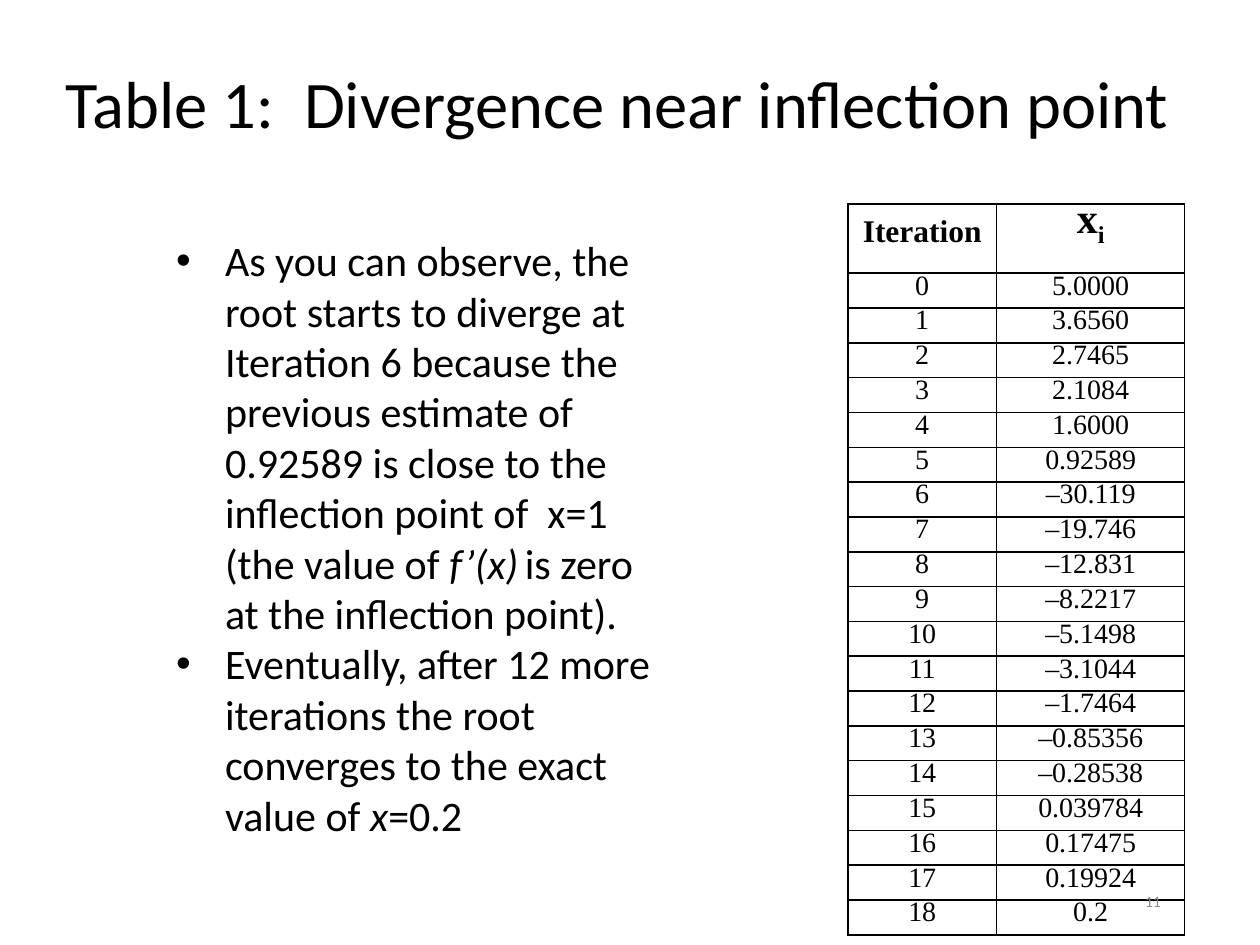
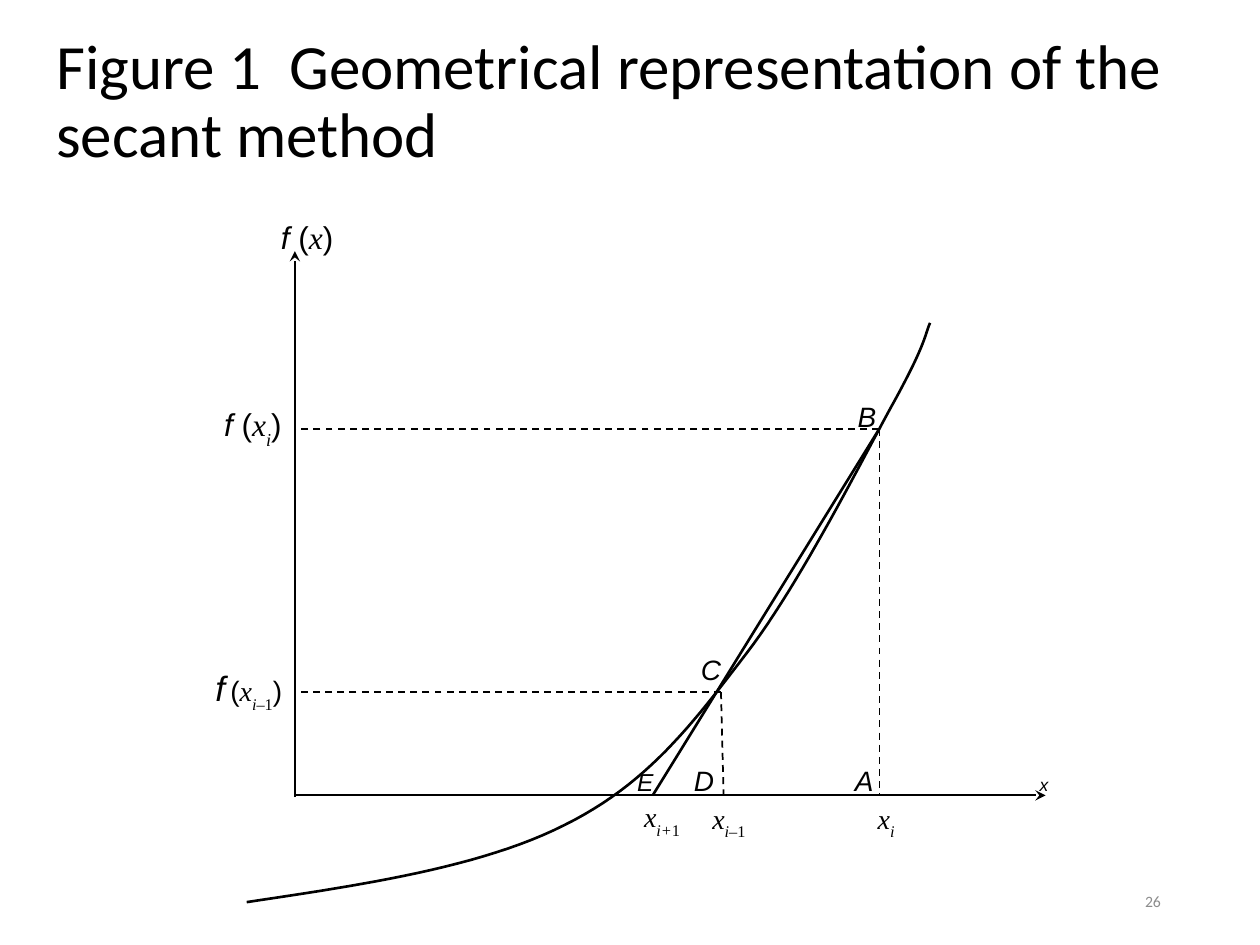
from lxml import etree
from pptx import Presentation
from pptx.dml.color import RGBColor
from pptx.enum.dml import MSO_LINE
from pptx.enum.text import MSO_ANCHOR, MSO_AUTO_SIZE, PP_ALIGN
from pptx.oxml.ns import qn
from pptx.util import Pt

LEFT, CENTER, RIGHT = PP_ALIGN.LEFT, PP_ALIGN.CENTER, PP_ALIGN.RIGHT
TOP, MIDDLE = MSO_ANCHOR.TOP, MSO_ANCHOR.MIDDLE
FIXED, GROW = MSO_AUTO_SIZE.NONE, MSO_AUTO_SIZE.SHAPE_TO_FIT_TEXT
DASH = MSO_LINE.DASH

COLORS = {"ink": "000000", "number": "8C8C8C"}
BODY, SERIF, SANS = "Calibri", "Times New Roman", "Arial"
TITLE_ONLY = 5

ITALIC = {"italic": True}
UPRIGHT = {"italic": False}
VARIABLE = {"name": SERIF}
INDEX = {"name": SERIF, "baseline": -30}
INDEX_DIGIT = {**INDEX, **UPRIGHT}

ESTIMATES = [
    "5.0000", "3.6560", "2.7465", "2.1084", "1.6000", "0.92589", "–30.119",
    "–19.746", "–12.831", "–8.2217", "–5.1498", "–3.1044", "–1.7464",
    "–0.85356", "–0.28538", "0.039784", "0.17475", "0.19924", "0.2",
]

OBSERVATIONS = [
    [("As you can observe, the root starts to diverge at Iteration 6 because the "
      "previous estimate of 0.92589 is close to the inflection point of  x=1 "
      "(the value of ", {}), ("f’(x)", ITALIC), (" ", {"size": 16}),
     ("is zero at the inflection point).", {})],
    [("Eventually, after 12 more iterations the root converges to the exact value of ", {}),
     ("x", ITALIC), ("=0.2", {})],
]

CURVE_START = (141, 515.5)
CURVE_ARCS = [
    [(208, 505.5), (275, 495.5), (322.5, 471.5)],
    [(370, 448), (395.5, 414), (426.5, 373.5)],
    [(458, 332.5), (494, 260), (511.5, 228.5)],
    [(529, 196.5), (528.5, 191.5), (531.5, 184.5)],
]

AXIS_X, AXIS_Y = 168.5, 454.5
POINT_B, POINT_C = (502.5, 245), (412, 395.5)
FOOT_A, FOOT_D, FOOT_E = (502.5, AXIS_Y), (413.5, AXIS_Y), (373, AXIS_Y)

LABELS = [
    (153.5, 121, 18, [("f ", {}), ("(", UPRIGHT), ("x", VARIABLE), (")", UPRIGHT)]),
    (121, 228, 18, [("f ", {}), ("(", UPRIGHT), ("x", VARIABLE), ("i", INDEX),
                    (")", UPRIGHT)]),
    (116, 377.5, 16, [("f", {"size": 20}), (" ", {"size": 11}), ("(", UPRIGHT),
                      ("x", VARIABLE), ("i–", INDEX), ("1", INDEX_DIGIT),
                      (")", UPRIGHT)]),
    (361, 453.5, 16, [("x", VARIABLE), ("i+", INDEX), ("1", INDEX_DIGIT)]),
    (400, 454.5, 16, [("x", VARIABLE), ("i–", INDEX), ("1", INDEX_DIGIT)]),
    (494.5, 454.5, 16, [("x", VARIABLE), ("i", INDEX)]),
    (587, 439, 10, [("x", {})]),
    (483, 224.5, 16, [("B", {})]),
    (393.5, 369.5, 16, [("C", {})]),
    (481.5, 432.5, 16, [("A", {})]),
    (389.5, 432.5, 16, [("D", {})]),
    (357, 435, 14, [("E", {})]),
]


def bezier_points(start, arcs, steps=24):
    points = [start]
    for first, second, end in arcs:
        origin = points[-1]
        for step in range(1, steps + 1):
            t = step / steps
            points.append(tuple(
                (1 - t) ** 3 * a + 3 * (1 - t) ** 2 * t * b
                + 3 * (1 - t) * t ** 2 * c + t ** 3 * d
                for a, b, c, d in zip(origin, first, second, end)))
    return points


class SlideWriter:
    def __init__(self, deck):
        self.deck = deck
        self.page = None

    def color(self, name):
        return RGBColor.from_string(COLORS[name])

    def style(self, font, name=BODY, size=24, color="ink", bold=False, italic=False):
        font.name, font.size = name, Pt(size)
        font.bold, font.italic = bold, italic
        font.color.rgb = self.color(color)

    def spans(self, paragraph, parts):
        for text, changes in parts:
            span = paragraph.add_run()
            span.text = text
            for key, value in changes.items():
                if key == "baseline":
                    span.font._element.set("baseline", str(value * 1000))
                else:
                    setattr(span.font, key, Pt(value) if key == "size" else value)

    def title(self, text, left, top, width, height, size, align):
        self.page = self.deck.slides.add_slide(self.deck.slide_layouts[TITLE_ONLY])
        box = self.page.shapes.title
        box.left, box.top, box.width, box.height = map(Pt, (left, top, width, height))
        frame = box.text_frame
        frame.text = text
        frame.word_wrap, frame.auto_size = True, FIXED
        frame.vertical_anchor = MIDDLE
        paragraph = frame.paragraphs[0]
        paragraph.alignment, paragraph.line_spacing = align, 0.9
        self.style(paragraph.font, size=size)

    def text(self, paragraphs, left, top, width, height, align=LEFT, anchor=TOP,
             fit=FIXED, bullet=None, **style):
        box = self.page.shapes.add_textbox(*map(Pt, (left, top, width, height)))
        frame = box.text_frame
        frame.word_wrap, frame.auto_size = True, fit
        frame.vertical_anchor = anchor
        for number, parts in enumerate(paragraphs):
            paragraph = frame.add_paragraph() if number else frame.paragraphs[0]
            paragraph.alignment = align
            if bullet:
                self.bullet(paragraph, bullet)
            self.style(paragraph.font, **style)
            self.spans(paragraph, parts)

    def bullet(self, paragraph, symbol, indent=28):
        properties = paragraph._p.get_or_add_pPr()
        properties.set("marL", str(Pt(indent)))
        properties.set("indent", str(-Pt(indent)))
        etree.SubElement(properties, qn("a:buFont"), typeface=SANS)
        etree.SubElement(properties, qn("a:buChar"), char=symbol)

    def page_number(self, number):
        self.text([[(str(number), {})]], 508.5, 500.5, 162, 29, align=RIGHT,
                  anchor=MIDDLE, size=9, color="number")

    def cell(self, cell, parts, **style):
        cell.fill.background()
        cell.vertical_anchor = MIDDLE
        cell.margin_left = cell.margin_right = Pt(5)
        cell.margin_top = cell.margin_bottom = 0
        paragraph = cell.text_frame.paragraphs[0]
        paragraph.alignment, paragraph.line_spacing = CENTER, Pt(12)
        self.style(paragraph.font, name=SERIF, **style)
        self.spans(paragraph, parts)
        properties = cell._tc.get_or_add_tcPr()
        for position, side in enumerate(("lnL", "lnR", "lnT", "lnB")):
            border = etree.Element(qn(f"a:{side}"), w=str(Pt(1)))
            fill = etree.SubElement(border, qn("a:solidFill"))
            etree.SubElement(fill, qn("a:srgbClr"), val=COLORS["ink"])
            properties.insert(position, border)

    def table(self, left, top, widths, heights):
        table = self.page.shapes.add_table(
            len(heights), len(widths),
            *map(Pt, (left, top, sum(widths), sum(heights)))).table
        table.first_row = table.horz_banding = False
        for column, width in zip(table.columns, widths):
            column.width = Pt(width)
        for row, height in zip(table.rows, heights):
            row.height = Pt(height)
        return table

    def line(self, start, end, width=1, dash=None, arrow=False):
        connector = self.page.shapes.add_connector(1, *map(Pt, (*start, *end)))
        connector.line.color.rgb = self.color("ink")
        connector.line.width = Pt(width)
        if dash:
            connector.line.dash_style = dash
        properties = connector._element.spPr
        if arrow:
            etree.SubElement(properties.find(qn("a:ln")), qn("a:tailEnd"), type="stealth")
        etree.SubElement(properties, qn("a:effectLst"))

    def curve(self, points, width):
        start, *rest = [(Pt(x), Pt(y)) for x, y in points]
        builder = self.page.shapes.build_freeform(*start)
        builder.add_line_segments(rest, close=False)
        shape = builder.convert_to_shape()
        shape.shadow.inherit = False
        shape.fill.background()
        shape.line.color.rgb = self.color("ink")
        shape.line.width = Pt(width)


def divergence_slide(writer):
    writer.title("Table 1:  Divergence near inflection point",
                 0, 12, 705.5, 98.5, 38, CENTER)
    table = writer.table(484.5, 116.5, [85, 107.5], [39.6] + [19.9] * len(ESTIMATES))
    writer.cell(table.cell(0, 0), [("Iteration", {})], size=18, bold=True)
    writer.cell(table.cell(0, 1), [("x", {}), ("i", {"baseline": -25})],
                size=24, bold=True)
    for iteration, estimate in enumerate(ESTIMATES):
        for column, value in enumerate((str(iteration), estimate)):
            writer.cell(table.cell(iteration + 1, column), [(value, {})], size=16)
    writer.page_number(11)
    writer.text(OBSERVATIONS, 93.5, 130.5, 289.5, 378, fit=GROW, bullet="•")


def secant_slide(writer):
    writer.title("Figure 1  Geometrical representation of the secant method",
                 25, 9.5, 664, 98.5, 36, LEFT)
    writer.page_number(26)
    for left, top, size, parts in LABELS:
        writer.text([parts], left, top, 88, 41, name=SANS, size=size, italic=True)
    writer.line(POINT_B, FOOT_E, width=1.5)
    writer.curve(bezier_points(CURVE_START, CURVE_ARCS), 1.5)
    writer.line((AXIS_X, 455.5), (AXIS_X, 143.5), arrow=True)
    writer.line((AXIS_X, AXIS_Y), (597.5, AXIS_Y), arrow=True)
    for point, foot in ((POINT_B, FOOT_A), (POINT_C, FOOT_D)):
        writer.line(point, foot, dash=DASH)
        writer.line(point, (AXIS_X, point[1]), dash=DASH)


def main():
    deck = Presentation()
    deck.slide_width, deck.slide_height = Pt(720), Pt(540)
    writer = SlideWriter(deck)
    divergence_slide(writer)
    secant_slide(writer)
    deck.save("out.pptx")


if __name__ == "__main__":
    main()
